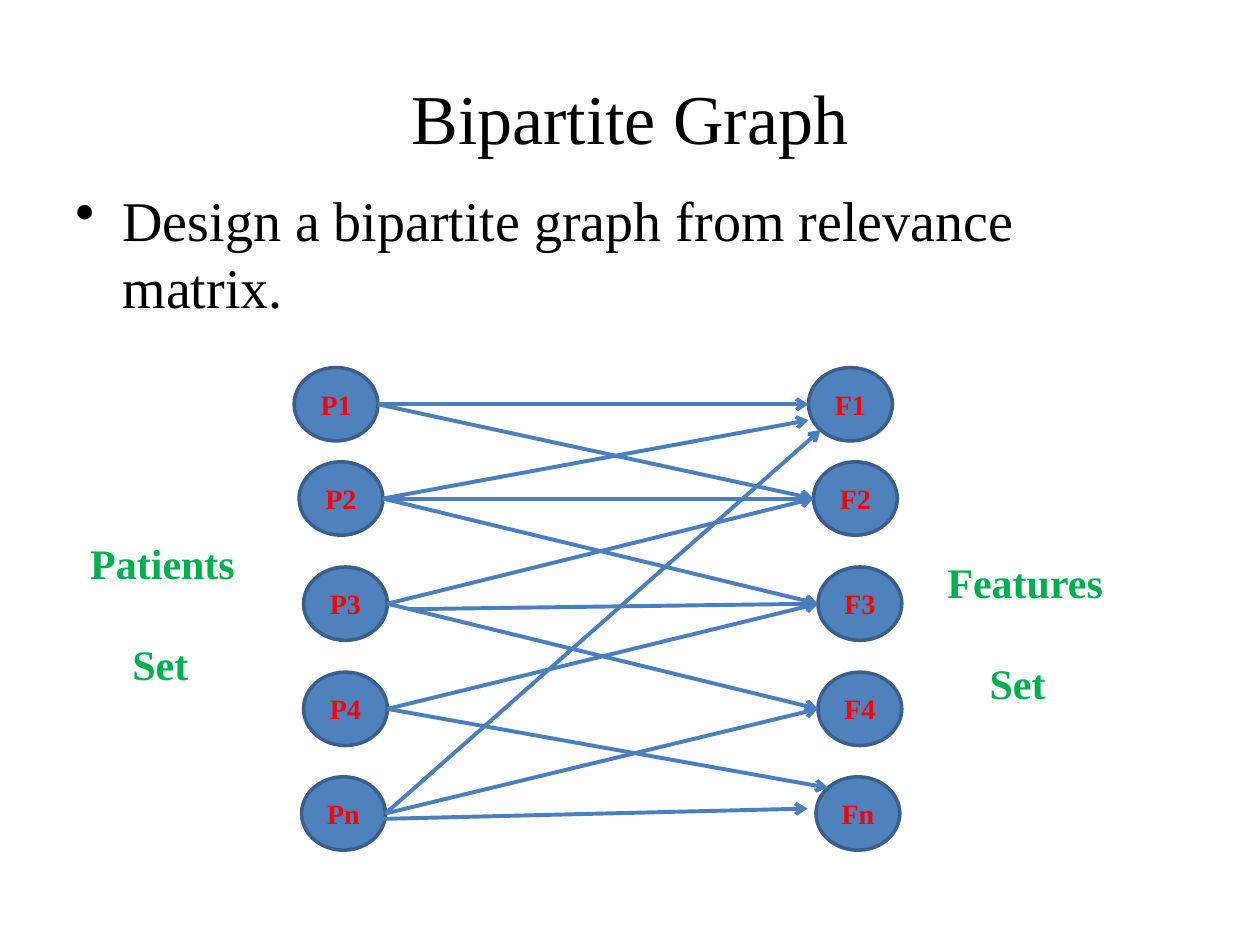
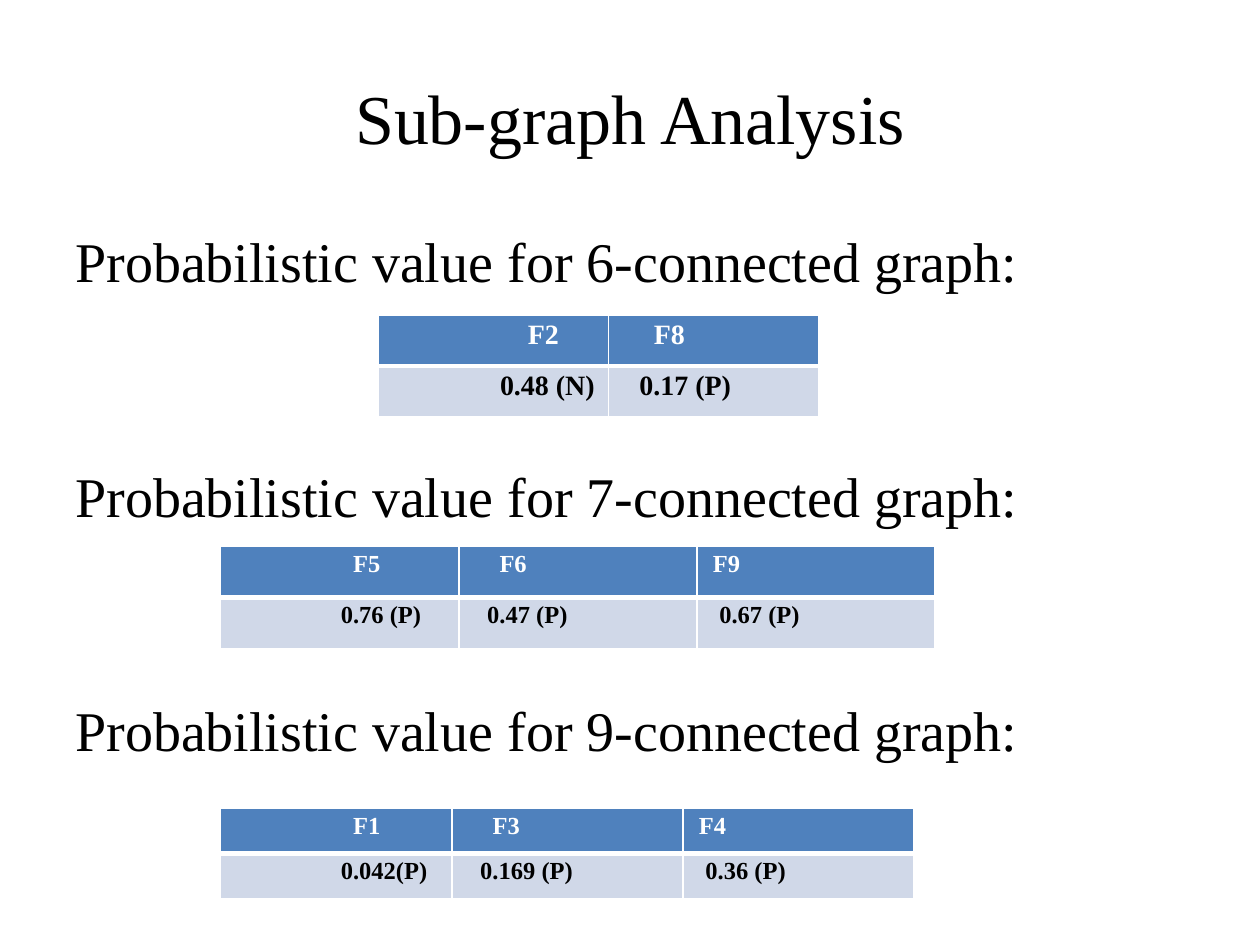
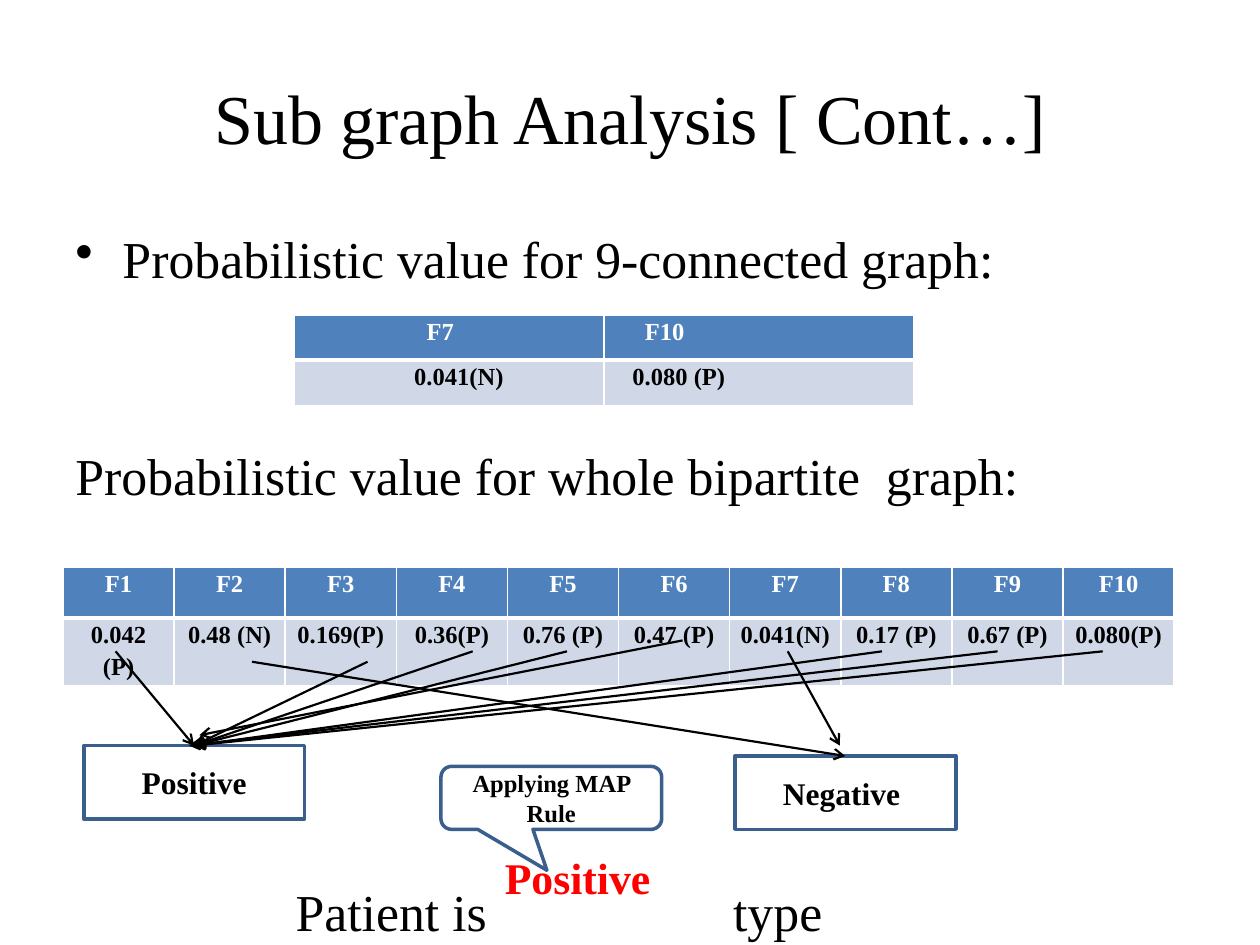
from dataclasses import dataclass
from typing import Any, NamedTuple, Optional, Sequence

from lxml.etree import SubElement
from pptx import Presentation
from pptx.dml.color import RGBColor
from pptx.enum.shapes import MSO_CONNECTOR, MSO_SHAPE
from pptx.enum.text import MSO_ANCHOR, PP_ALIGN
from pptx.oxml.ns import qn
from pptx.util import Cm, Pt


@dataclass(frozen=True)
class Theme:
    """Colours, type sizes and line widths of the whole deck."""

    font: str = "Times New Roman"
    black: str = "000000"
    white: str = "FFFFFF"
    red: str = "FF0000"
    green: str = "00B050"
    blue: str = "4F81BD"
    outline: str = "3A5F8C"
    edge: str = "4B7EBC"
    pale: str = "D0D8E8"
    title_size: float = 40
    body_size: float = 32
    small_body_size: float = 29.6
    verdict_size: float = 25
    set_size: float = 24
    box_size: float = 18
    node_size: float = 16
    note_size: float = 14
    outline_width: float = 2
    edge_width: float = 2.25
    arrow_width: float = 1.25
    grid_width: float = 1
    header_rule_width: float = 3


THEME = Theme()


class Point(NamedTuple):
    """A place on the slide, in centimetres."""

    x: float
    y: float


class Box(NamedTuple):
    """A rectangle on the slide, in centimetres."""

    left: float
    top: float
    width: float
    height: float

    def lengths(self) -> list[Cm]:
        """Give the four values as slide lengths."""
        return [Cm(value) for value in self]

    def left_middle(self) -> Point:
        """Give the middle of the left side."""
        return Point(self.left, self.top + self.height / 2)

    def right_middle(self) -> Point:
        """Give the middle of the right side."""
        return Point(self.left + self.width, self.top + self.height / 2)


class TextStyle(NamedTuple):
    """The look of a run."""

    size: float
    color: str = THEME.black
    bold: bool = False


class Line(NamedTuple):
    """One paragraph; margin and indent are in centimetres."""

    text: str
    gap_before: float = 0
    bullet: bool = False
    margin: float = 0
    indent: float = 0


class TableSpec(NamedTuple):
    """A two-row table with the text indents of each row."""

    left: float
    top: float
    columns: Sequence[float]
    row_height: float
    size: float
    header: Sequence[str]
    values: Sequence[str]
    header_indents: Sequence[float] = ()
    value_indents: Sequence[float] = ()


TITLE_BOX = Box(1.27, 0.76, 22.86, 3.18)
HANGING = 0.95
CELL_MARGIN = 0.2


def apply(target: Any, values: dict[str, Any]) -> None:
    """Set each named attribute on the target."""
    for name, value in values.items():
        setattr(target, name, value)


def write_line(paragraph: Any, line: Line, style: TextStyle, **layout: Any) -> None:
    """Fill a paragraph with one styled run."""
    run = paragraph.add_run()
    run.text = line.text
    apply(run.font, {"name": THEME.font, "size": Pt(style.size), "bold": style.bold})
    run.font.color.rgb = RGBColor.from_string(style.color)
    apply(paragraph, {"space_before": Pt(line.gap_before), **layout})
    properties = paragraph._p.get_or_add_pPr()
    properties.set("marL", str(Cm(line.margin)))
    properties.set("indent", str(Cm(line.indent)))
    if line.bullet:
        SubElement(properties, qn("a:buChar"), char="•")


def write_lines(frame: Any, lines: Sequence[Line], style: TextStyle, **layout: Any) -> None:
    """Write one paragraph for each line."""
    for index, line in enumerate(lines):
        paragraph = frame.add_paragraph() if index else frame.paragraphs[0]
        write_line(paragraph, line, style, **layout)


def add_text(slide: Any, box: Box, lines: Sequence[Line], style: TextStyle,
             frame_format: Optional[dict[str, Any]] = None, **layout: Any) -> None:
    """Add a wrapping text box."""
    frame = slide.shapes.add_textbox(*box.lengths()).text_frame
    apply(frame, {"word_wrap": True, **(frame_format or {})})
    write_lines(frame, lines, style, **layout)


def add_centred(slide: Any, box: Box, text: str, style: TextStyle) -> None:
    """Add text in the middle of a box."""
    add_text(slide, box, [Line(text)], style, {"vertical_anchor": MSO_ANCHOR.MIDDLE},
             alignment=PP_ALIGN.CENTER)


def start_slide(presentation: Any, title: str) -> Any:
    """Add a blank slide with the shared title style."""
    slide = presentation.slides.add_slide(presentation.slide_layouts[6])
    add_centred(slide, TITLE_BOX, title, TextStyle(THEME.title_size))
    return slide


def add_outlined(slide: Any, kind: MSO_SHAPE, box: Box, text: str, style: TextStyle,
                 fill: Optional[str] = None) -> Any:
    """Add an outlined preset shape with centred text."""
    shape = slide.shapes.add_shape(kind, *box.lengths())
    shape.shadow.inherit = False
    if fill:
        shape.fill.solid()
        shape.fill.fore_color.rgb = RGBColor.from_string(fill)
    else:
        shape.fill.background()
    shape.line.color.rgb = RGBColor.from_string(THEME.outline)
    shape.line.width = Pt(THEME.outline_width)
    apply(shape.text_frame, {"word_wrap": True, "vertical_anchor": MSO_ANCHOR.MIDDLE})
    write_lines(shape.text_frame, [Line(text)], style, alignment=PP_ALIGN.CENTER)
    return shape


def add_arrow(slide: Any, start: Point, end: Point, color: str, width: float) -> None:
    """Add a straight line with an open arrowhead at its end."""
    connector = slide.shapes.add_connector(
        MSO_CONNECTOR.STRAIGHT, *[Cm(value) for value in (*start, *end)])
    connector.line.color.rgb = RGBColor.from_string(color)
    connector.line.width = Pt(width)
    SubElement(connector.line._get_or_add_ln(), qn("a:tailEnd"), type="arrow")
    SubElement(connector._element.spPr, qn("a:effectLst"))


def add_borders(cell: Any, widths: dict[str, float]) -> None:
    """Draw white borders on the named sides of a cell."""
    properties = cell._tc.get_or_add_tcPr()
    for side, width in widths.items():
        line = SubElement(properties, qn(f"a:ln{side}"), w=str(Pt(width)))
        SubElement(SubElement(line, qn("a:solidFill")), qn("a:srgbClr"), val=THEME.white)


def add_value_table(slide: Any, spec: TableSpec) -> None:
    """Add a feature table; rows without indents are centred."""
    box = Box(spec.left, spec.top, sum(spec.columns), 2 * spec.row_height)
    table = slide.shapes.add_table(2, len(spec.columns), *box.lengths()).table
    for column, width in zip(table.columns, spec.columns):
        column.width = Cm(width)
    thin = THEME.grid_width
    rows = (
        (spec.header, spec.header_indents, THEME.white, THEME.blue,
         {"L": thin, "R": thin, "T": thin, "B": THEME.header_rule_width}),
        (spec.values, spec.value_indents, THEME.black, THEME.pale,
         {"L": thin, "R": thin, "B": thin}),
    )
    for row_index, (texts, indents, color, fill, borders) in enumerate(rows):
        table.rows[row_index].height = Cm(spec.row_height)
        for column_index, text in enumerate(texts):
            cell = table.cell(row_index, column_index)
            apply(cell, {"margin_left": Cm(CELL_MARGIN), "margin_right": Cm(CELL_MARGIN),
                         "margin_top": 0, "margin_bottom": 0})
            margin = indents[column_index] if indents else 0
            write_line(cell.text_frame.paragraphs[0], Line(text, margin=margin),
                       TextStyle(spec.size, color, True), line_spacing=1.15,
                       alignment=PP_ALIGN.LEFT if indents else PP_ALIGN.CENTER)
            add_borders(cell, borders)
            cell.fill.solid()
            cell.fill.fore_color.rgb = RGBColor.from_string(fill)


def build_bipartite_slide(presentation: Any) -> None:
    """Draw patients, features and the edges between them."""
    slide = start_slide(presentation, "Bipartite Graph")
    add_text(slide, Box(1.27, 3.61, 22.86, 13.41),
             [Line("Design a bipartite graph from relevance matrix.",
                   bullet=True, margin=HANGING, indent=-HANGING)],
             TextStyle(THEME.body_size))

    feature_offset = 10.37
    rows = {"1": Point(5.93, 7.41), "2": Point(6.03, 9.31), "3": Point(6.12, 11.43),
            "4": Point(6.12, 13.55), "n": Point(6.08, 15.66)}
    nodes: dict[str, Box] = {}
    for letter, offset in (("P", 0), ("F", feature_offset)):
        for suffix, corner in rows.items():
            name = letter + suffix
            nodes[name] = Box(corner.x + offset, corner.y, 1.69, 1.48)
            add_outlined(slide, MSO_SHAPE.FLOWCHART_CONNECTOR, nodes[name], name,
                         TextStyle(THEME.node_size, THEME.red, True), THEME.blue)

    side_to_side = ("P1 F1", "P1 F2", "P2 F2", "P2 F3", "P3 F2", "P3 F4", "P4 F3", "Pn F4")
    edges = [(nodes[patient].right_middle(), nodes[feature].left_middle())
             for patient, feature in (pair.split() for pair in side_to_side)]
    edges += [
        (nodes["P2"].right_middle(), Point(16.3, 8.47)),
        (Point(8.26, 12.28), nodes["F3"].left_middle()),
        (nodes["P4"].right_middle(), Point(16.69, 15.88)),
        (nodes["Pn"].right_middle(), Point(16.54, 8.67)),
        (Point(7.62, 16.51), Point(16.28, 16.3)),
    ]
    for start, end in edges:
        add_arrow(slide, start, end, THEME.edge, THEME.edge_width)

    for box, name in ((Box(1.57, 9.96, 3.94, 3.84), "Patients"),
                      (Box(18.85, 10.34, 3.81, 3.84), "Features")):
        add_text(slide, box, [Line(name), Line("Set", gap_before=29, margin=0.85)],
                 TextStyle(THEME.set_size, THEME.green, True), {"margin_top": Cm(0.88)})


def build_analysis_slide(presentation: Any) -> None:
    """Show the values of three connected sub-graphs."""
    slide = start_slide(presentation, "Sub-graph Analysis")
    add_text(slide, Box(1.27, 4.45, 22.86, 14.17),
             [Line(f"Probabilistic value for {count}-connected graph:", 95.5 if index else 0)
              for index, count in enumerate((6, 7, 9))], TextStyle(THEME.body_size))

    three_columns = {"header_indents": (2.47, 0.62, 0.12), "value_indents": (2.22, 0.37, 0.25)}
    tables = (
        TableSpec(7.62, 6.35, (4.65, 4.24), 1.03, THEME.node_size, ("F2", "F8"),
                  ("0.48 (N)", "0.17 (P)"), (2.82, 0.71), (2.26, 0.42)),
        TableSpec(4.45, 11.01, (4.8,) * 3, 1.03, THEME.note_size, ("F5", "F6", "F9"),
                  ("0.76 (P)", "0.47 (P)", "0.67 (P)"), **three_columns),
        TableSpec(4.45, 16.3, (4.66,) * 3, 0.91, THEME.note_size, ("F1", "F3", "F4"),
                  ("0.042(P)", "0.169 (P)", "0.36 (P)"), **three_columns),
    )
    for table in tables:
        add_value_table(slide, table)


def build_verdict_slide(presentation: Any) -> None:
    """Show how the values lead to the verdict."""
    slide = start_slide(presentation, "Sub graph Analysis [ Cont…]")
    body_style = TextStyle(THEME.small_body_size)
    add_text(slide, Box(1.27, 4.45, 22.86, 6.5), [
        Line("Probabilistic value for 9-connected graph:",
             bullet=True, margin=HANGING, indent=-HANGING),
        Line("Probabilistic value for whole bipartite  graph:", gap_before=88.5),
    ], body_style)
    for left, width, words in ((5.71, 5, "Patient is"), (14.53, 3, "type")):
        add_text(slide, Box(left, 17.61, width, 1.4), [Line(words)], body_style)

    add_value_table(slide, TableSpec(
        5.93, 6.35, (6.25,) * 2, 0.91, THEME.note_size, ("F7", "F10"),
        ("0.041(N)", "0.080 (P)"), (2.47, 0.62), (2.22, 0.37)))
    add_value_table(slide, TableSpec(
        1.27, 11.43, (2.24,) * 10, 1.03, THEME.note_size,
        [f"F{number}" for number in range(1, 11)],
        ("0.042 (P)", "0.48 (N)", "0.169(P)", "0.36(P)", "0.76 (P)", "0.47 (P)",
         "0.041(N)", "0.17 (P)", "0.67 (P)", "0.080(P)")))

    box_style = TextStyle(THEME.box_size, THEME.black, True)
    for box, verdict in ((Box(1.69, 15.03, 4.45, 1.48), "Positive"),
                         (Box(14.82, 15.24, 4.45, 1.48), "Negative ")):
        add_outlined(slide, MSO_SHAPE.RECTANGLE, box, verdict, box_style)

    positive = Point(3.91, 15.03)
    arrows = (
        (Point(2.33, 13.13), positive),
        (Point(5.08, 13.34), Point(17.04, 15.24)),
        (Point(7.41, 13.34), positive),
        (Point(9.53, 13.13), positive),
        (Point(11.43, 13.13), positive),
        (Point(13.76, 12.91), Point(4.02, 14.82)),
        (Point(15.88, 13.13), Point(16.93, 15.03)),
        (Point(17.78, 13.13), positive),
        (Point(20.11, 13.13), Point(3.81, 15.03)),
        (Point(22.23, 13.13), positive),
    )
    for start, end in arrows:
        add_arrow(slide, start, end, THEME.black, THEME.arrow_width)

    callout = add_outlined(slide, MSO_SHAPE.ROUNDED_RECTANGULAR_CALLOUT,
                           Box(8.89, 15.45, 4.45, 1.27), "Applying MAP Rule",
                           TextStyle(THEME.note_size, THEME.black, True))
    for index, value in enumerate((-0.02, 1.15, 0.17)):
        callout.adjustments[index] = value
    add_centred(slide, Box(9.53, 17.15, 4.23, 1.06), "Positive",
                TextStyle(THEME.verdict_size, THEME.red, True))


def main() -> None:
    """Build and save the deck."""
    presentation = Presentation()
    apply(presentation, {"slide_width": Cm(25.4), "slide_height": Cm(19.05)})
    for build in (build_bipartite_slide, build_analysis_slide, build_verdict_slide):
        build(presentation)
    presentation.save("out.pptx")


main()
